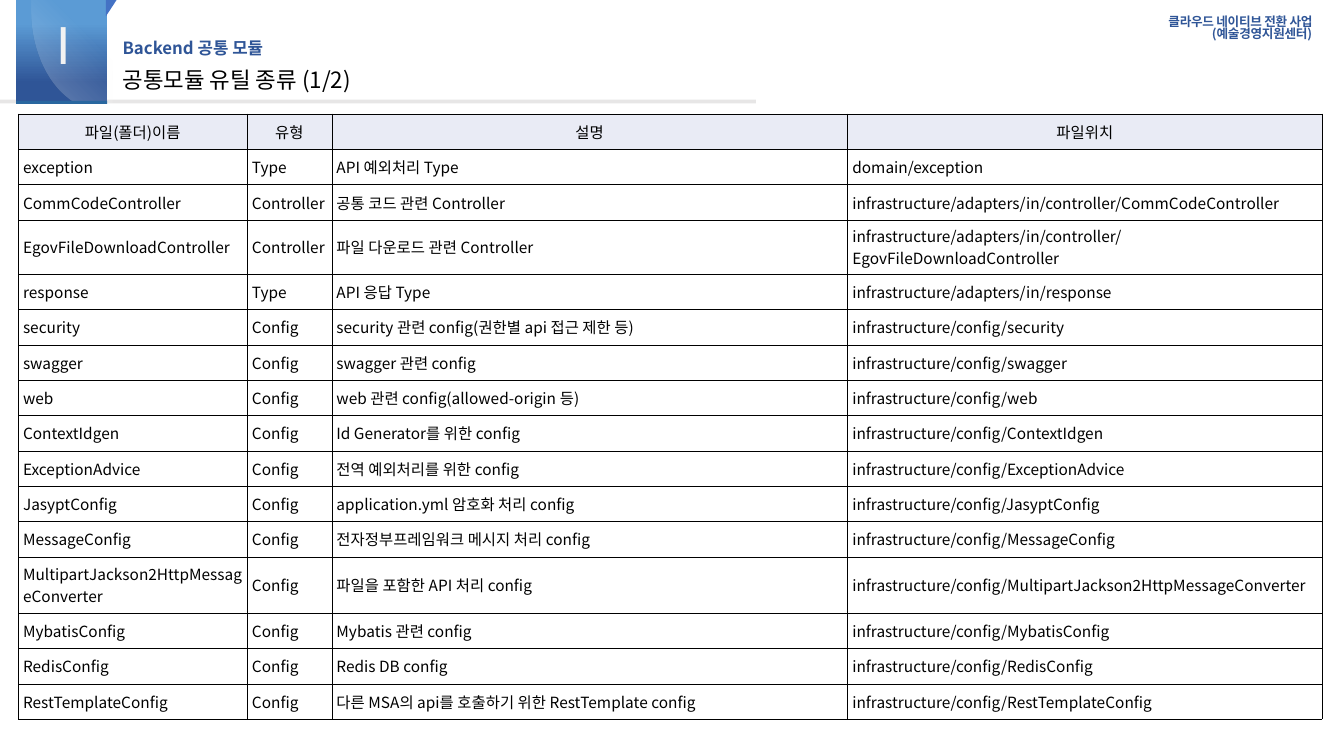
from lxml import etree
from pptx import Presentation
from pptx import util as u
from pptx.dml.color import RGBColor
from pptx.enum import shapes, text
from pptx.oxml import ns

FONT = "Noto Sans CJK KR"
BLACK = RGBColor(0x00, 0x00, 0x00)
WHITE = RGBColor(0xFF, 0xFF, 0xFF)
PALE_WHITE = RGBColor(0xF2, 0xF2, 0xF2)
GREY = RGBColor(0xE7, 0xE6, 0xE6)
NAVY = RGBColor(0x2F, 0x55, 0x97)
SKY = RGBColor(0x5B, 0x9B, 0xD5)
CORNER_BLUE = RGBColor(0x44, 0x72, 0xC4)
EDGE_BLUE = RGBColor(0x29, 0x67, 0x9F)
HEADER_FILL = RGBColor(0xE9, 0xEB, 0xF5)

COLUMN_WIDTHS = (5.77, 2.13, 13.0, 11.96)
ROW_HEIGHT = 0.89
TALL_ROW, TALL_HEIGHT = 12, 1.42
ADAPTERS = "infrastructure/adapters/in/"
CONFIG = "infrastructure/config/"
HEADINGS = ("파일(폴더)이름", "유형", "설명", "파일위치")
MODULES = [
    ("exception", "Type", "API 예외처리 Type", "domain/"),
    ("CommCodeController", "Controller", "공통 코드 관련 Controller", ADAPTERS + "controller/"),
    ("EgovFileDownloadController", "Controller", "파일 다운로드 관련 Controller",
     ADAPTERS + "controller/"),
    ("response", "Type", "API 응답 Type", ADAPTERS),
    ("security", "Config", "security 관련 config(권한별 api 접근 제한 등)", CONFIG),
    ("swagger", "Config", "swagger 관련 config", CONFIG),
    ("web", "Config", "web 관련 config(allowed-origin 등)", CONFIG),
    ("ContextIdgen", "Config", "Id Generator를 위한 config", CONFIG),
    ("ExceptionAdvice", "Config", "전역 예외처리를 위한 config", CONFIG),
    ("JasyptConfig", "Config", "application.yml 암호화 처리 config", CONFIG),
    ("MessageConfig", "Config", "전자정부프레임워크 메시지 처리 config", CONFIG),
    ("MultipartJackson2HttpMessageConverter", "Config", "파일을 포함한 API 처리 config", CONFIG),
    ("MybatisConfig", "Config", "Mybatis 관련 config", CONFIG),
    ("RedisConfig", "Config", "Redis DB config", CONFIG),
    ("RestTemplateConfig", "Config", "다른 MSA의 api를 호출하기 위한 RestTemplate config", CONFIG),
]


def add_child(parent, tag, **attributes):
    return etree.SubElement(parent, ns.qn(tag), attributes)


def set_gradient(shape, stops, angle):
    shape.fill.background()
    no_fill = shape._element.spPr.find(ns.qn("a:noFill"))
    gradient = etree.Element(ns.qn("a:gradFill"), rotWithShape="1")
    stop_list = add_child(gradient, "a:gsLst")
    for position, color, opacity in stops:
        stop = add_child(stop_list, "a:gs", pos=str(position * 1000))
        tone = add_child(stop, "a:srgbClr", val=str(color))
        if opacity < 100:
            add_child(tone, "a:alpha", val=str(opacity * 1000))
    add_child(gradient, "a:lin", ang=str(angle * 60000), scaled="0")
    no_fill.getparent().replace(no_fill, gradient)


def clean(shape):
    shape.shadow.inherit = False
    shape.line.fill.background()
    return shape


def add_block(slide, preset, left, top, width, height, color):
    block = clean(slide.shapes.add_shape(
        preset, u.Cm(left), u.Cm(top), u.Cm(width), u.Cm(height)))
    block.fill.solid()
    block.fill.fore_color.rgb = color
    return block


def add_run(paragraph, words, size, color, bold=False):
    run = paragraph.add_run()
    run.text = words
    run.font.size = u.Pt(size)
    run.font.bold = bold
    run.font.color.rgb = color
    run.font.name = FONT
    add_child(run.font._element, "a:ea", typeface=FONT)
    return run


def first_paragraph(frame, align, spacing):
    frame.word_wrap = True
    frame.auto_size = text.MSO_AUTO_SIZE.NONE
    paragraph = frame.paragraphs[0]
    paragraph.alignment = align
    paragraph.line_spacing = spacing
    return paragraph


def add_label(slide, left, top, width, height, align, spacing=0.9,
              anchor=text.MSO_ANCHOR.MIDDLE):
    label = slide.shapes.add_textbox(u.Cm(left), u.Cm(top), u.Cm(width), u.Cm(height))
    label.text_frame.vertical_anchor = anchor
    return label.text_frame, first_paragraph(label.text_frame, align, spacing)


def curve_points(start, control_1, control_2, end, steps=16):
    for step in range(1, steps + 1):
        t = step / steps
        weights = ((1 - t) ** 3, 3 * t * (1 - t) ** 2, 3 * t * t * (1 - t), t ** 3)
        yield tuple(sum(w * p[axis] for w, p in zip(weights, (start, control_1, control_2, end)))
                    for axis in (0, 1))


def add_emblem(slide):
    rectangle = shapes.MSO_SHAPE.RECTANGLE
    add_block(slide, rectangle, 0, 2.51, 19.05, 0.1, GREY)
    panel = add_block(slide, rectangle, 0.41, -0.05, 2.29, 2.67, SKY)
    set_gradient(panel, [(24, SKY, 100), (80, NAVY, 100)], 90)
    fold = add_block(slide, shapes.MSO_SHAPE.RIGHT_TRIANGLE, 2.59, 0.03, 0.46, 0.3, CORNER_BLUE)
    fold.rotation = 90

    curve_start = (1.88, 2.59)
    outline = [(3.12, -0.05), (2.84, 0.51), (2.84, 2.62), (1.91, 2.62), curve_start]
    outline += curve_points(curve_start, (1.24, 2.21), (0.79, 1.32), (0.79, 0.28))
    outline += [(0.79, 0), (0.81, -0.05)]
    builder = slide.shapes.build_freeform(u.Cm(2.82), u.Cm(-0.05))
    builder.add_line_segments([(u.Cm(x), u.Cm(y)) for x, y in outline], close=True)
    gloss = clean(builder.convert_to_shape())
    set_gradient(gloss, [(0, WHITE, 28), (63, WHITE, 0)], 315)
    add_block(slide, rectangle, 0.41, 2.54, 2.29, 0.08, EDGE_BLUE)


def add_headings(slide):
    _, project = add_label(slide, 26.82, 0.3, 6.5, 0.64, text.PP_ALIGN.RIGHT, 0.8,
                           text.MSO_ANCHOR.TOP)
    for index, words in enumerate(("클라우드 네이티브 전환 사업", "(예술경영지원센터)")):
        if index:
            project.add_line_break()
        run = add_run(project, words, 9, NAVY, True)
        run.font._element.set("spc", "-20")

    title = slide.shapes.title
    title.left, title.top = u.Cm(2.84), u.Cm(1.55)
    title.width, title.height = u.Cm(15.01), u.Cm(0.99)
    title.text_frame.vertical_anchor = text.MSO_ANCHOR.MIDDLE
    heading = first_paragraph(title.text_frame, text.PP_ALIGN.LEFT, 0.9)
    add_run(heading, "공통모듈 유틸 종류 (1/2)", 16, BLACK)

    _, section = add_label(slide, 2.84, 0.99, 14.1, 0.51, text.PP_ALIGN.LEFT)
    add_run(section, "Backend 공통 모듈", 12, NAVY, True)

    frame, chapter = add_label(slide, 0.97, 0.51, 1.14, 1.4, text.PP_ALIGN.CENTER)
    frame.margin_left = frame.margin_right = frame.margin_top = frame.margin_bottom = 0
    add_run(chapter, "Ⅰ", 36, PALE_WHITE)


def fill_cell(cell, words, fill, align):
    cell.margin_left = cell.margin_right = u.Cm(0.12)
    cell.margin_top = cell.margin_bottom = u.Cm(0.12)
    cell.vertical_anchor = text.MSO_ANCHOR.MIDDLE
    paragraph = cell.text_frame.paragraphs[0]
    paragraph.alignment = align
    add_run(paragraph, words, 11, BLACK)
    properties = cell._tc.get_or_add_tcPr()
    for side in ("a:lnL", "a:lnR", "a:lnT", "a:lnB"):
        border = add_child(properties, side, w=str(u.Pt(0.25)))
        add_child(add_child(border, "a:solidFill"), "a:srgbClr", val=str(BLACK))
    cell.fill.solid()
    cell.fill.fore_color.rgb = fill


def add_module_table(slide):
    rows = [HEADINGS] + [(name, kind, note, folder + name)
                         for name, kind, note, folder in MODULES]
    modules = slide.shapes.add_table(
        len(rows), len(HEADINGS), u.Cm(0.46), u.Cm(2.87),
        u.Cm(sum(COLUMN_WIDTHS)), u.Cm(ROW_HEIGHT * len(rows))).table
    modules.horz_banding = False
    for column, width in zip(modules.columns, COLUMN_WIDTHS):
        column.width = u.Cm(width)
    for index, row in enumerate(rows):
        modules.rows[index].height = u.Cm(TALL_HEIGHT if index == TALL_ROW else ROW_HEIGHT)
        fill = WHITE if index else HEADER_FILL
        align = text.PP_ALIGN.LEFT if index else text.PP_ALIGN.CENTER
        for cell, words in zip(modules.rows[index].cells, row):
            fill_cell(cell, words, fill, align)


def main():
    deck = Presentation()
    deck.slide_width, deck.slide_height = u.Cm(33.87), u.Cm(19.05)
    slide = deck.slides.add_slide(deck.slide_layouts[5])
    add_emblem(slide)
    add_headings(slide)
    add_module_table(slide)
    deck.save("out.pptx")


if __name__ == "__main__":
    main()
